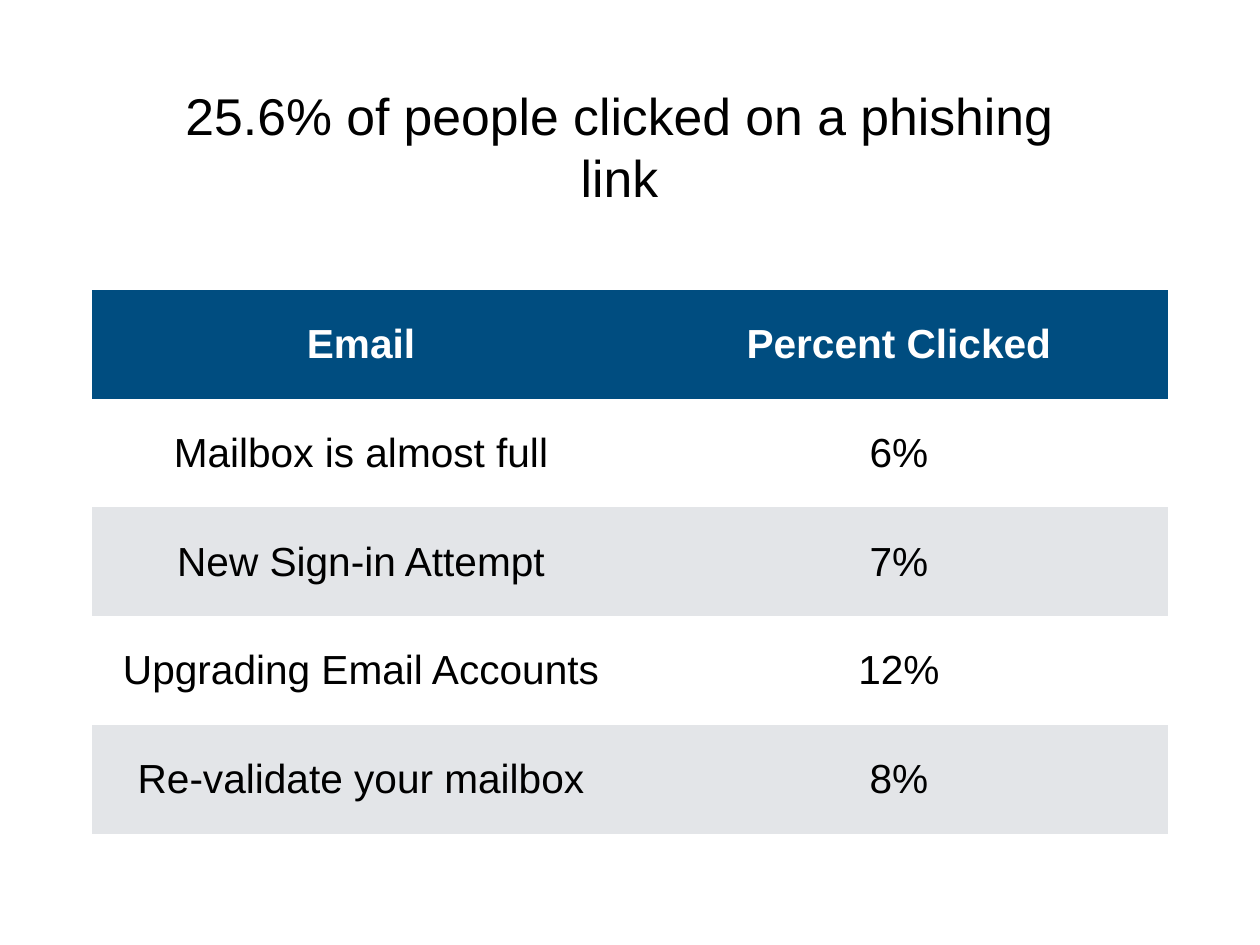
from pptx import Presentation
from pptx.dml.color import RGBColor
from pptx.enum.text import MSO_ANCHOR, PP_ALIGN
from pptx.oxml.ns import qn
from pptx.util import Inches, Pt

MIDDLE = MSO_ANCHOR.MIDDLE
CENTER = PP_ALIGN.CENTER
NAVY = RGBColor(0x00, 0x4D, 0x80)
GREY = RGBColor(0xE3, 0xE5, 0xE8)
WHITE = RGBColor(0xFF, 0xFF, 0xFF)
BLACK = RGBColor(0x00, 0x00, 0x00)
FONT = "Arial"
INSET = Inches(0.06)
PLAIN_TABLE_STYLE = "{2D5ABB26-0587-4C30-8999-92F81FD0307C}"

CLICK_RATES = [
    ("Email", "Percent Clicked"),
    ("Mailbox is almost full", "6%"),
    ("New Sign-in Attempt", "7%"),
    ("Upgrading Email Accounts", "12%"),
    ("Re-validate your mailbox", "8%"),
]


def format_text(paragraph, size, color, bold=False):
    paragraph.alignment = CENTER
    paragraph.font.name = FONT
    paragraph.font.size = Pt(size)
    paragraph.font.bold = bold
    paragraph.font.color.rgb = color


prs = Presentation()
prs.slide_width = Inches(14.22)
prs.slide_height = Inches(10.67)
slide = prs.slides.add_slide(prs.slide_layouts[5])

# Headline
headline = slide.shapes.title
headline.left, headline.top = Inches(1.52), Inches(1.24)
headline.width, headline.height = Inches(11.18), Inches(0.81)
frame = headline.text_frame
frame.text = "25.6% of people clicked on a phishing link"
frame.word_wrap = False
frame.vertical_anchor = MIDDLE
frame.margin_left = frame.margin_top = frame.margin_bottom = INSET
frame.margin_right = Inches(0.3)
format_text(frame.paragraphs[0], 42, BLACK)

# Click rates by email, without grid lines
rates = slide.shapes.add_table(
    len(CLICK_RATES), 2, Inches(1.04), Inches(3.27), Inches(12.14), Inches(6.15)
).table
rates.horz_banding = False
rates._tbl.tblPr.find(qn("a:tableStyleId")).text = PLAIN_TABLE_STYLE

for r, row in enumerate(CLICK_RATES):
    header = r == 0
    row_fill = NAVY if header else (WHITE if r % 2 else GREY)
    for c, content in enumerate(row):
        cell = rates.cell(r, c)
        cell.text = content
        cell.vertical_anchor = MIDDLE
        cell.margin_left = cell.margin_right = INSET
        cell.margin_top = cell.margin_bottom = INSET
        cell.fill.solid()
        cell.fill.fore_color.rgb = row_fill
        format_text(cell.text_frame.paragraphs[0], 33, WHITE if header else BLACK, header)

prs.save("out.pptx")
